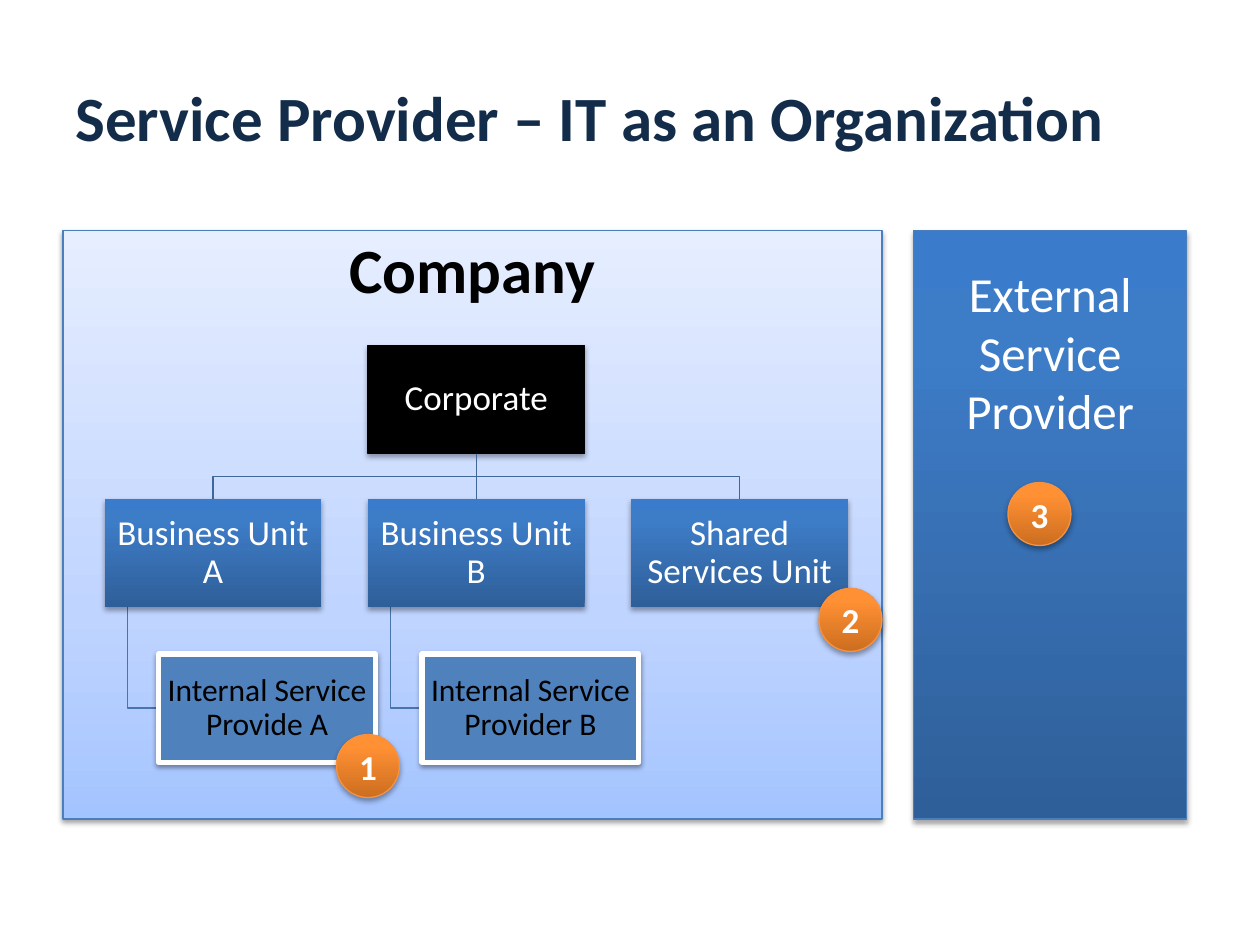
from dataclasses import dataclass
from pptx import Presentation
from pptx.dml.color import RGBColor
from pptx.enum.shapes import MSO_CONNECTOR, MSO_SHAPE
from pptx.enum.text import MSO_ANCHOR, PP_ALIGN
from pptx.oxml import parse_xml
from pptx.oxml.ns import nsdecls, qn
from pptx.util import Inches, Pt
from lxml.etree import SubElement


@dataclass(frozen=True)
class Theme:
    font: str = "Calibri"
    title: str = "132C4A"
    dark: str = "000000"
    light: str = "FFFFFF"
    inner: str = "4F81BD"
    edge: str = "4B7EBC"
    trunk: str = "3F6797"
    branch: str = "4875AC"
    ring: str = "F69240"
    pale: tuple = ((0, "A4C4FF"), (35, "BFD4FF"), (100, "E6EEFF"))
    blue: tuple = ((0, "2F5F99"), (80, "3D7CC7"), (100, "3A7CCB"))
    orange: tuple = ((0, "CC6E20"), (80, "FF9034"), (100, "FF9136"))
    soft: tuple = (38, 1.6)  # shadow opacity in percent, distance in points
    deep: tuple = (35, 1.8)
    head: int = 36
    large: int = 28
    body: int = 20
    small: int = 18
    thin: float = 0.75
    thick: float = 3


THEME = Theme()
BOX_W, BOX_H = 1.72, 0.86
MID, STEP = 3.78, 2.09
TOP_Y, UNIT_Y, TEAM_Y = 2.74, 3.96, 5.19
DROP, SHIFT = 0.18, 0.43


def paint(shape, fill):
    """Fill with one colour, or with gradient stops running upward."""
    if isinstance(fill, str):
        shape.fill.solid()
        shape.fill.fore_color.rgb = RGBColor.from_string(fill)
        return
    stops = "".join(
        f'<a:gs pos="{pos * 1000}"><a:srgbClr val="{color}"/></a:gs>'
        for pos, color in fill)
    grad = parse_xml(
        f'<a:gradFill {nsdecls("a")} rotWithShape="1"><a:gsLst>{stops}</a:gsLst>'
        '<a:lin ang="16200000" scaled="0"/></a:gradFill>')
    shape._element.spPr.find(qn("a:prstGeom")).addnext(grad)


def stroke(line, color, width=THEME.thin):
    line.color.rgb = RGBColor.from_string(color)
    line.width = Pt(width)


def shade(shape, look):
    alpha, dist = look
    shape.shadow.inherit = False
    shape._element.spPr.find(qn("a:effectLst")).append(parse_xml(
        f'<a:outerShdw {nsdecls("a")} blurRad="{Pt(3.1)}" dist="{Pt(dist)}" '
        'dir="5400000" rotWithShape="0"><a:srgbClr val="000000">'
        f'<a:alpha val="{alpha * 1000}"/></a:srgbClr></a:outerShdw>'))


def write(shape, text, size, color, bold=False, align=PP_ALIGN.CENTER,
          anchor=MSO_ANCHOR.MIDDLE, side=0.01, top=0.01, space=None):
    frame = shape.text_frame
    frame.word_wrap = True
    frame.vertical_anchor = anchor
    frame.margin_left = frame.margin_right = Inches(side)
    frame.margin_top, frame.margin_bottom = Inches(top), Inches(0.01)
    para = frame.paragraphs[0]
    para.text = text
    para.alignment = align
    if space:
        para.line_spacing = space
    font = para.font
    font.name, font.size, font.bold = THEME.font, Pt(size), bold
    font.color.rgb = RGBColor.from_string(color)


def block(slide, area, fill, line=None, width=THEME.thin, look=THEME.deep,
          kind=MSO_SHAPE.RECTANGLE):
    shape = slide.shapes.add_shape(kind, *map(Inches, area))
    paint(shape, fill)
    if line:
        stroke(shape.line, line, width)
    else:
        shape.line.fill.background()
    shade(shape, look)
    return shape


def panel(slide, left, width, fill, look):
    return block(slide, (left, 1.83, width, 4.67), fill, THEME.edge, look=look)


def unit(slide, text, left, top, fill, line=None):
    box = block(slide, (left, top, BOX_W, BOX_H), fill, line)
    write(box, text, THEME.body, THEME.light, space=0.9)
    return box


def team(slide, text, left):
    box = block(slide, (left, TEAM_Y, BOX_W, BOX_H), THEME.inner, THEME.light,
                THEME.thick, THEME.soft)
    write(box, text, THEME.small, THEME.dark, space=0.9)


def badge(slide, text, left, top):
    disc = block(slide, (left, top, 0.5, 0.5), THEME.orange, THEME.ring,
                 kind=MSO_SHAPE.OVAL)
    write(disc, text, THEME.body, THEME.light, bold=True)


def bend(slide, points, color):
    """Draw an open line through the points."""
    first, *rest = [(Inches(x), Inches(y)) for x, y in points]
    pen = slide.shapes.build_freeform(*first)
    pen.add_line_segments(rest, close=False)
    shape = pen.convert_to_shape()
    shape.fill.background()
    stroke(shape.line, color)
    shape.shadow.inherit = False


def link(slide, upper, lower):
    line = slide.shapes.add_connector(MSO_CONNECTOR.STRAIGHT, 0, 0, 0, 0)
    line.begin_connect(upper, 2)
    line.end_connect(lower, 0)
    stroke(line.line, THEME.trunk)
    SubElement(line._element.spPr, qn("a:effectLst"))


def chart(slide):
    """Draw the company's tree of units and service teams."""
    base = TOP_Y + BOX_H
    turn = (base + UNIT_Y) / 2
    lefts = [MID + STEP * i - BOX_W / 2 for i in (-1, 0, 1)]
    for end in (MID - STEP, MID + STEP):
        bend(slide, [(MID, base), (MID, turn), (end, turn), (end, UNIT_Y)],
             THEME.trunk)
    for left in lefts[:2]:
        x, y = left + DROP, TEAM_Y + BOX_H / 2
        bend(slide, [(x, UNIT_Y + BOX_H), (x, y), (left + SHIFT, y)],
             THEME.branch)

    root = unit(slide, "Corporate", lefts[1], TOP_Y, THEME.dark, THEME.dark)
    names = ("Business Unit A", "Business Unit B", "Shared Services Unit")
    units = [unit(slide, name, left, UNIT_Y, THEME.blue)
             for name, left in zip(names, lefts)]
    link(slide, root, units[1])
    teams = ("Internal Service Provide A", "Internal Service Provider B")
    for name, left in zip(teams, lefts):
        team(slide, name, left + SHIFT)


def main():
    deck = Presentation()
    deck.slide_width, deck.slide_height = Inches(10), Inches(7.5)
    slide = deck.slides.add_slide(deck.slide_layouts[6])

    title = slide.shapes.add_textbox(*map(Inches, (0.5, 0.3, 9, 1.25)))
    write(title, "Service Provider – IT as an Organization", THEME.head,
          THEME.title, bold=True, align=PP_ALIGN.LEFT, side=0.1)

    company = panel(slide, 0.5, 6.5, THEME.pale, THEME.soft)
    write(company, "Company", THEME.head, THEME.dark, bold=True,
          anchor=MSO_ANCHOR.TOP, side=0.1, top=0)
    vendor = panel(slide, 7.25, 2.17, THEME.blue, THEME.deep)
    write(vendor, "External Service Provider", THEME.large, THEME.light,
          anchor=MSO_ANCHOR.TOP, side=0.1, top=0.26)

    chart(slide)
    for text, left, top in (("1", 2.67, 5.83), ("2", 6.5, 4.67), ("3", 8, 3.83)):
        badge(slide, text, left, top)
    deck.save("out.pptx")


if __name__ == "__main__":
    main()
